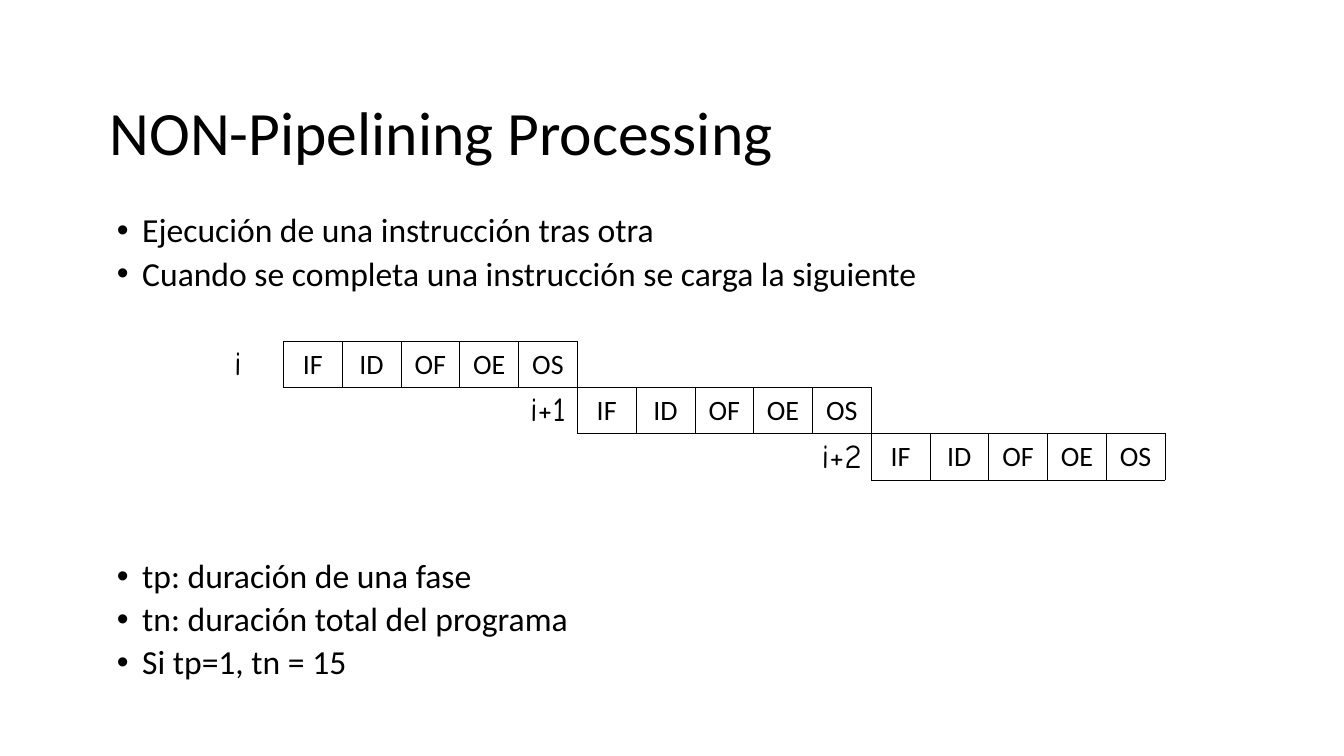
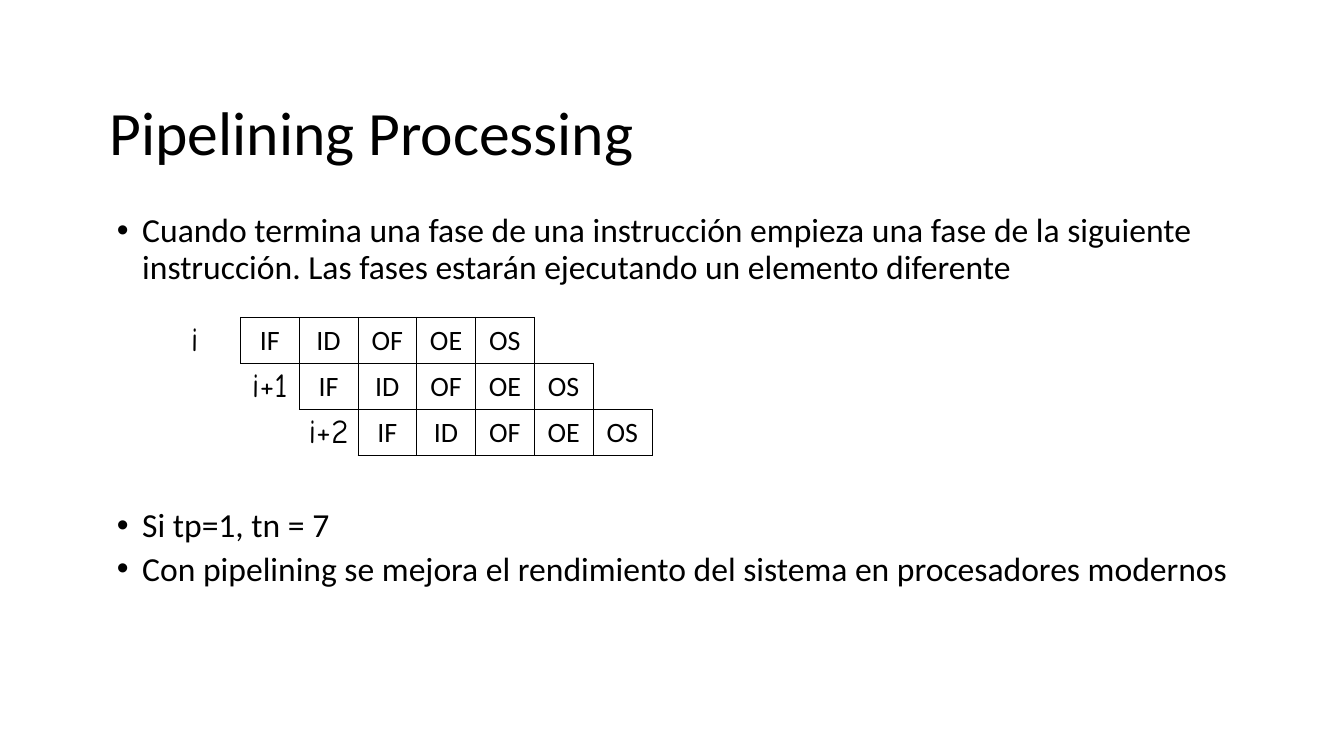
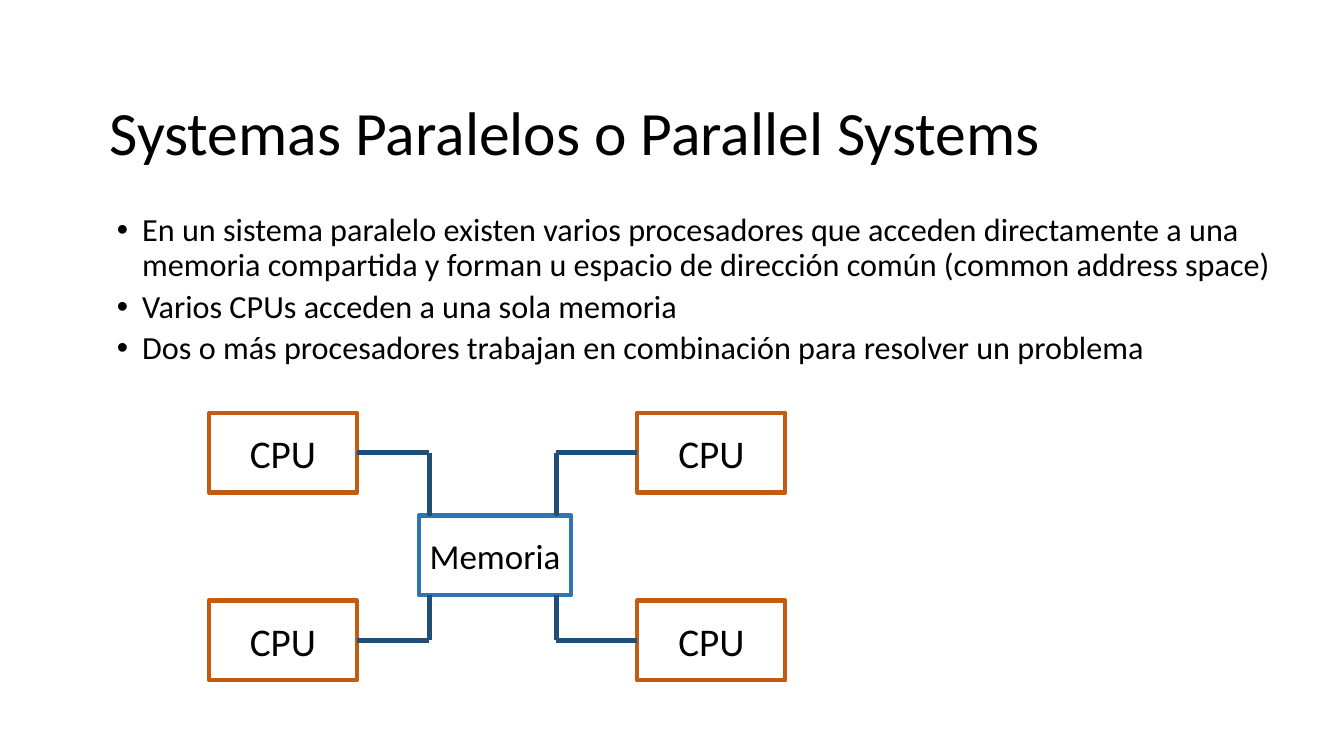
from lxml.etree import SubElement
from pptx import Presentation
from pptx.dml.color import RGBColor
from pptx.enum.shapes import MSO_CONNECTOR, MSO_SHAPE
from pptx.enum.text import MSO_ANCHOR, PP_ALIGN
from pptx.oxml import parse_xml
from pptx.oxml.ns import nsdecls, qn
from pptx.util import Pt

PX = 9525  # EMU in one px, 96 px to the inch
BLACK = RGBColor(0x00, 0x00, 0x00)
ORANGE = RGBColor(0xC5, 0x5A, 0x11)
BLUE = RGBColor(0x2E, 0x75, 0xB6)
NAVY = RGBColor(0x1F, 0x4E, 0x79)
SANS = "Calibri"
COMIC = "Comic Neue"
PLAIN = "{2D5ABB26-0587-4C30-8999-92F81FD0307C}"  # no style, no grid
STAGES = ["IF", "ID", "OF", "OE", "OS"]
LABELS = ["i", "i+1", "i+2"]
LABEL_W, STAGE_W, ROW_H = 87, 56, 44


def write(frame, *lines, size, face=SANS, align=PP_ALIGN.LEFT,
          anchor=None, wrap=True, lead=None, bullet=False):
    """Fill a text frame with one paragraph per line."""
    frame.word_wrap = wrap
    if anchor is not None:
        frame.vertical_anchor = anchor
    for n, line in enumerate(lines):
        para = frame.add_paragraph() if n else frame.paragraphs[0]
        para.alignment = align
        if lead:
            para.line_spacing = lead
        run = para.add_run()
        run.text = line
        run.font.size = Pt(size)
        run.font.name = face
        run.font.color.rgb = BLACK
        if bullet:
            para.space_before = Pt(5)
            props = para._p.get_or_add_pPr()
            props.set("marL", str(72 * PX))
            props.set("indent", str(-24 * PX))
            SubElement(props, qn("a:buFont"), typeface="Arial")
            SubElement(props, qn("a:buChar"), char="•")


def frame_at(slide, *place):
    """Add a text box at left, top, width, height in px."""
    return slide.shapes.add_textbox(*(v * PX for v in place)).text_frame


deck = Presentation()
deck.slide_width, deck.slide_height = 1280 * PX, 720 * PX

# Each slide: title, body size, and its bullet lists as top, height, lines
pages = [
    ("NON-Pipelining Processing", 24, [
        (199, 100, ["Ejecución de una instrucción tras otra",
                    "Cuando se completa una instrucción se carga la siguiente"]),
        (528, 141, ["tp: duración de una fase",
                    "tn: duración total del programa",
                    "Si tp=1, tn = 15"])]),
    ("Pipelining Processing", 24, [
        (199, 90, ["Cuando termina una fase de una instrucción empieza una fase "
                   "de la siguiente instrucción. Las fases estarán ejecutando "
                   "un elemento diferente"]),
        (480, 100, ["Si tp=1, tn = 7",
                    "Con pipelining se mejora el rendimiento del sistema en "
                    "procesadores modernos"])]),
    ("Systemas Paralelos o Parallel Systems", 23, [
        (199, 170, ["En un sistema paralelo existen varios procesadores que "
                    "acceden directamente a una memoria compartida y forman u "
                    "espacio de dirección común (common address space)",
                    "Varios CPUs acceden a una sola memoria",
                    "Dos o más procesadores trabajan en combinación para "
                    "resolver un problema"])]),
]
slides = []
for title, size, lists in pages:
    slide = deck.slides.add_slide(deck.slide_layouts[6])
    slides.append(slide)
    write(frame_at(slide, 95, 85, 1104, 89), title, size=44, lead=0.9,
          anchor=MSO_ANCHOR.MIDDLE)
    for top, height, lines in lists:
        write(frame_at(slide, 54, top, 1186, height), *lines, size=size,
              lead=0.9, bullet=True)

# Timing tables: each instruction starts "step" phases after the one before
for slide, left, top, step in [(slides[0], 183, 325, 5), (slides[1], 142, 302, 1)]:
    count = len(STAGES) + step * (len(LABELS) - 1)
    holder = slide.shapes.add_table(
        len(LABELS), count + 1, left * PX, top * PX,
        (LABEL_W + count * STAGE_W) * PX, len(LABELS) * ROW_H * PX)
    table = holder.table
    table.first_row = table.horz_banding = False
    table._tbl.tblPr.find(qn("a:tableStyleId")).text = PLAIN
    for n, col in enumerate(table.columns):
        col.width = (STAGE_W if n else LABEL_W) * PX
    for row in table.rows:
        row.height = ROW_H * PX
    for cell in table.iter_cells():
        cell.fill.background()
        cell.vertical_anchor = MSO_ANCHOR.MIDDLE
        cell.margin_left = cell.margin_right = cell.margin_top = PX
        cell.margin_bottom = 0
    for r, label in enumerate(LABELS):
        write(table.cell(r, r * step).text_frame, label, size=24, face=COMIC,
              align=PP_ALIGN.CENTER)
        for c, stage in enumerate(STAGES, r * step + 1):
            cell = table.cell(r, c)
            write(cell.text_frame, stage, size=20, align=PP_ALIGN.CENTER)
            cell.vertical_anchor = MSO_ANCHOR.MIDDLE
            props = cell._tc.get_or_add_tcPr()
            for n, side in enumerate("LRTB"):
                props.insert(n, parse_xml(
                    f'<a:ln{side} {nsdecls("a")} w="{Pt(0.5)}"><a:solidFill>'
                    f'<a:srgbClr val="{BLACK}"/></a:solidFill></a:ln{side}>'))

# Four CPUs around one shared memory
shapes = slides[2].shapes
BOX_H = 76
MEM_TOP = 491
boxes = [("CPU", x, y, 141, 28, ORANGE) for y in (393, 572) for x in (199, 607)]
boxes.append(("Memoria", 399, MEM_TOP, 145, 25, BLUE))
cpus = []
for name, x, y, width, size, color in boxes:
    box = shapes.add_shape(MSO_SHAPE.RECTANGLE, x * PX, y * PX, width * PX, BOX_H * PX)
    box.shadow.inherit = False
    box.fill.background()
    box.line.color.rgb = color
    box.line.width = Pt(3)
    write(box.text_frame, name, size=size, align=PP_ALIGN.CENTER,
          anchor=MSO_ANCHOR.MIDDLE, wrap=False)
    cpus.append(box)
cpus.pop()

for n, cpu in enumerate(cpus):
    bend, site = [(409, 3), (530, 1)][n % 2]
    edge = MEM_TOP if n < 2 else MEM_TOP + BOX_H
    mid = cpu.top // PX + BOX_H // 2
    for part, end in [("side", mid), ("drop", edge)]:
        wire = shapes.add_connector(MSO_CONNECTOR.STRAIGHT, bend * PX, mid * PX,
                                    bend * PX, end * PX)
        if part == "side":
            wire.begin_connect(cpu, site)
        wire.line.color.rgb = NAVY
        wire.line.width = Pt(3)
        SubElement(wire._element.spPr, qn("a:effectLst"))

deck.save("out.pptx")
